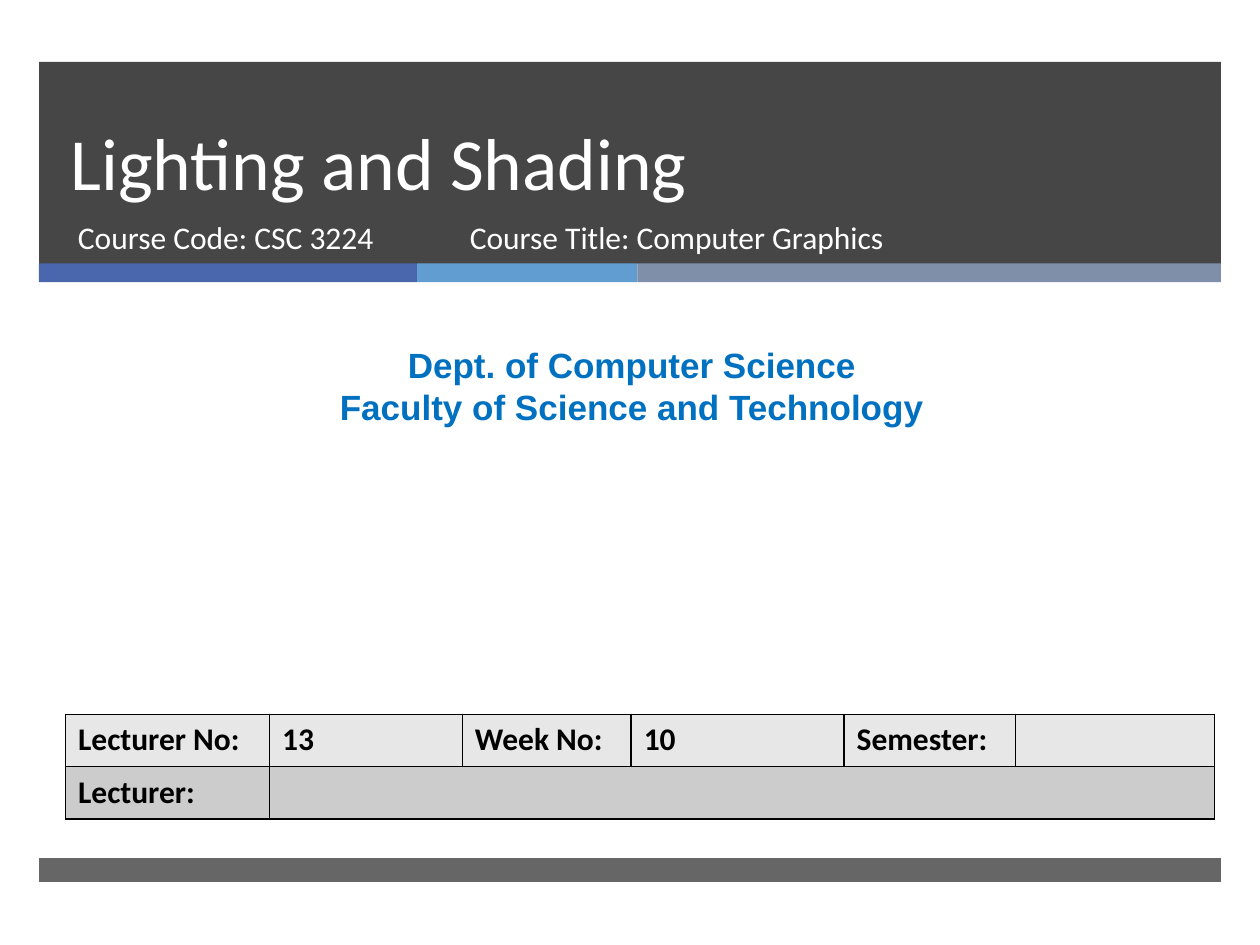
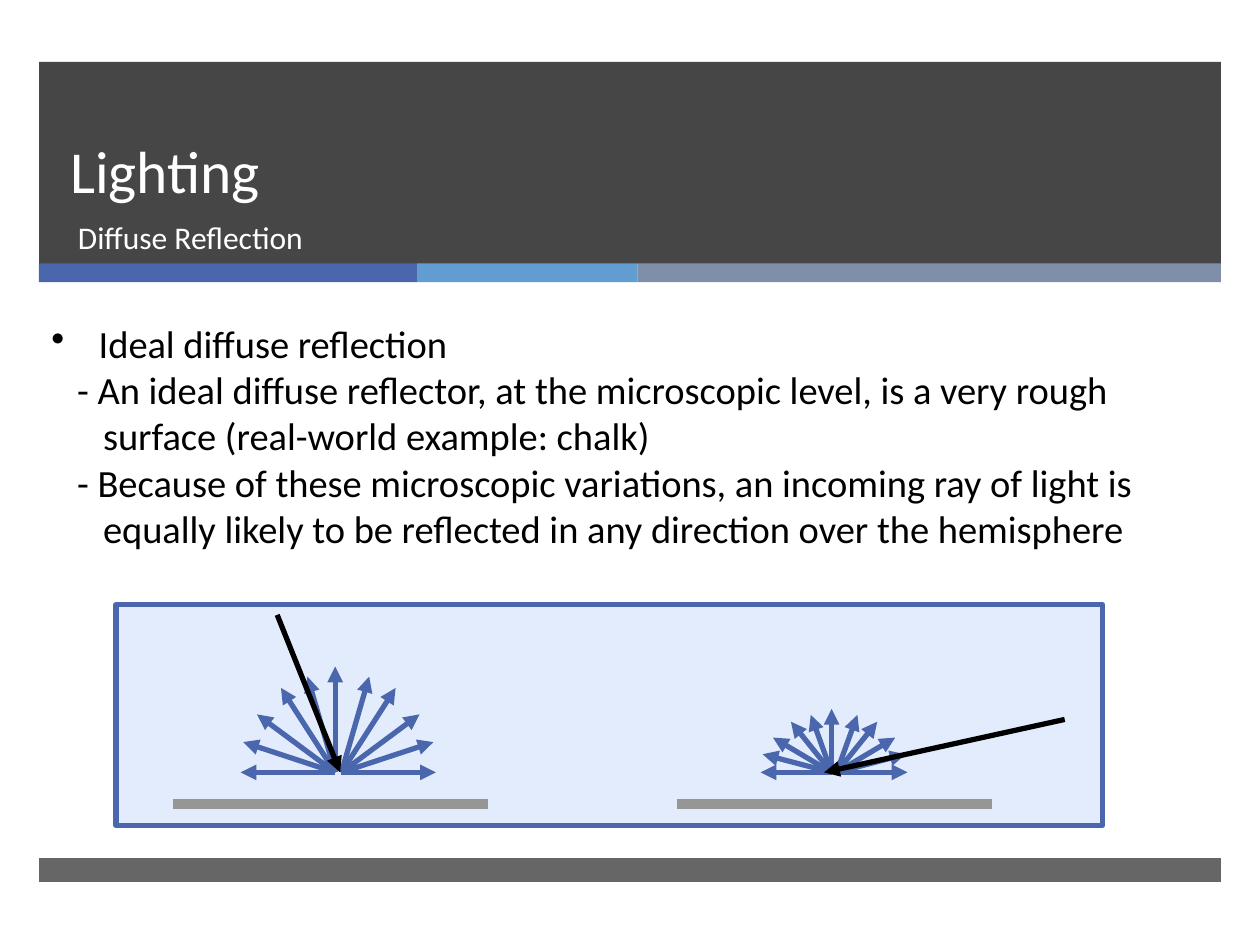
from itertools import accumulate

from pptx import Presentation
from pptx.dml.color import RGBColor
from pptx.enum.shapes import MSO_CONNECTOR as Connector, MSO_SHAPE as Shape
from pptx.enum.text import MSO_ANCHOR as Anchor, PP_ALIGN as Align
from pptx.oxml.ns import qn
from pptx.util import Inches, Pt
from lxml.etree import SubElement

COLORS = {
    "dark": "262626", "blue": "4A66AC", "sky": "629DD1", "slate": "7F8FA9",
    "pale": "ACCBF9", "link": "0070C0", "surface": "969696",
    "row_light": "E7E7E7", "row_dark": "CCCCCC", "white": "FFFFFF", "black": "000000",
}
COLUMNS, ROWS = 100, 75  # grid over a 10 by 7.5 inch slide


class Deck:
    """Holds the style, the presentation and the current slide."""

    def __init__(self):
        self.presentation = Presentation()
        self.presentation.slide_width = Inches(10)
        self.presentation.slide_height = Inches(7.5)
        self.column = self.presentation.slide_width // COLUMNS
        self.row = self.presentation.slide_height // ROWS
        self.slide = None

    def place(self, left, top, width, height):
        return (round(left * self.column), round(top * self.row),
                round(width * self.column), round(height * self.row))

    def color(self, name):
        return RGBColor.from_string(COLORS[name])

    def box(self, at, fill, opacity=100, line=None):
        shape = self.slide.shapes.add_shape(Shape.RECTANGLE, *self.place(*at))
        shape.shadow.inherit = False
        shape.fill.solid()
        shape.fill.fore_color.rgb = self.color(fill)
        if opacity < 100:
            solid = shape.fill._xPr.find(qn("a:solidFill"))
            SubElement(solid[0], qn("a:alpha"), val=str(opacity * 1000))
        if line:
            shape.line.color.rgb = self.color(line)
            shape.line.width = Pt(3)
        else:
            shape.line.fill.background()

    def style(self, paragraph, size, color, bold=False, font="Calibri"):
        paragraph.font.name = font
        paragraph.font.size = Pt(size)
        paragraph.font.bold = bold
        paragraph.font.color.rgb = self.color(color)

    def text(self, at, lines, size, color="white", align=Align.LEFT, anchor=Anchor.TOP,
             spacing=None, **font):
        frame = self.slide.shapes.add_textbox(*self.place(*at)).text_frame
        frame.word_wrap = True
        frame.vertical_anchor = anchor
        frame.text = "\n".join(lines)
        for paragraph in frame.paragraphs:
            paragraph.alignment = align
            if spacing:
                paragraph.line_spacing = Pt(spacing)
            self.style(paragraph, size, color, **font)
        return frame.paragraphs

    def indent(self, paragraph, margin, hanging, bullet=None):
        properties = paragraph._p.get_or_add_pPr()
        properties.set("marL", str(round(margin * self.column)))
        properties.set("indent", str(round(-hanging * self.column)))
        if bullet:
            mark = SubElement(properties, qn("a:buChar"), char=bullet)
            properties.insert(0, mark)

    def line(self, start, end, color, width=3, arrow=False):
        points = [*self.place(*start, 0, 0)[:2], *self.place(*end, 0, 0)[:2]]
        connector = self.slide.shapes.add_connector(Connector.STRAIGHT, *points)
        connector.line.color.rgb = self.color(color)
        connector.line.width = Pt(width)
        if arrow:
            SubElement(connector.line._get_or_add_ln(), qn("a:tailEnd"), type="triangle")
        SubElement(connector._element.spPr, qn("a:effectLst"))

    def table(self, at, widths, rows, fills):
        frame = self.slide.shapes.add_table(len(rows), len(widths), *self.place(*at))
        table = frame.table
        for column, width in zip(table.columns, widths):
            column.width = round(width * self.column)
        for cells, values, fill in zip(table.rows, rows, fills):
            for cell, value in zip(cells.cells, values):
                cell.text = value
                self.style(cell.text_frame.paragraphs[0], 18, "black", bold=True)
                self.border(cell)
                cell.fill.solid()
                cell.fill.fore_color.rgb = self.color(fill)
        return table

    def border(self, cell):
        properties = cell._tc.get_or_add_tcPr()
        for side in ("lnL", "lnR", "lnT", "lnB"):
            edge = SubElement(properties, qn(f"a:{side}"), w=str(Pt(1)))
            solid = SubElement(edge, qn("a:solidFill"))
            SubElement(solid, qn("a:srgbClr"), val=COLORS["black"])

    def new_slide(self, title, title_size, subtitle):
        """Start a slide with the header, the colour strip and the footer band."""
        self.slide = self.presentation.slides.add_slide(self.presentation.slide_layouts[6])
        left, widths = 3.1, (30, 17.5, 46.3)
        self.box((left, 4.9, sum(widths), 16.05), "dark", 85)
        starts = accumulate(widths, initial=left)
        for start, width, fill in zip(starts, widths, ("blue", "sky", "slate")):
            self.box((start, 20.9, width, 1.5), fill)
        self.box((left, 68.1, sum(widths), 1.9), "dark", 70)
        self.text((4.6, 4.9, 85.4, 11.9), [title], title_size,
                  anchor=Anchor.BOTTOM, spacing=46)
        self.subtitle(5.2, subtitle)

    def subtitle(self, left, words):
        self.text((left, 16.8, 45.5, 5.3), [words], 18)

    def diffuse_fan(self, x, y, scale_x=1, scale_y=1, gap=0.5):
        """Draw rays over a hemisphere, mirrored about the point of incidence."""
        quarter = [(7.5, 0), (7.3, 2.4), (6.2, 4.6), (4.3, 6.7), (2.2, 7.6), (0, 8.4)]
        for side, origin in ((-1, x), (1, x + gap)):
            for across, up in quarter:
                if side < 0 or across:  # the upright ray is drawn once
                    end = (origin + side * across * scale_x, y - up * scale_y)
                    self.line((origin, y), end, "blue", arrow=True)


def cover_slide(deck):
    deck.new_slide("Lighting and Shading", 42, "Course Code: CSC 3224")
    deck.subtitle(36.3, "Course Title: Computer Graphics")
    deck.text((0.8, 26.8, 98.7, 7.7),
              ["Dept. of Computer Science", "Faculty of Science and Technology"],
              20, "link", Align.CENTER, bold=True, font="Arial")
    # Lecture details
    table = deck.table(
        (5.2, 56.7, 91.2, 8.3), (16.2, 15.3, 13.4, 16.9, 13.6, 15.8),
        [["Lecturer No:", "13", "Week No:", "10", "Semester:", ""],
         ["Lecturer:", "", "", "", "", ""]],
        ("row_light", "row_dark"))
    table.cell(1, 1).merge(table.cell(1, 5))


def diffuse_slide(deck):
    deck.new_slide("Lighting", 34, "Diffuse Reflection")
    heading, *details = deck.text((3.1, 24.9, 91.3, 22.9), [
        "Ideal diffuse reflection",
        "- An ideal diffuse reflector, at the microscopic level, is a very rough "
        "surface (real-world example: chalk)",
        "- Because of these microscopic variations, an incoming ray of light is "
        "equally likely to be reflected in any direction over the hemisphere",
    ], 22, "black")
    deck.indent(heading, 3.75, 3.75, "•")
    for detail in details:
        deck.indent(detail, 4.1, 2.05)

    # Diagram: steep and shallow incoming light on a rough surface
    deck.box((9.2, 48, 78.3, 17.5), "pale", 35, "blue")
    for surface_left in (13.7, 53.7):
        deck.line((surface_left, 63.8), (surface_left + 25, 63.8), "surface", 6)
    deck.diffuse_fan(26.6, 61.3)
    deck.diffuse_fan(66, 61.3, 0.75, 0.6, gap=0.4)
    for source, target in (((22, 48.8), (27, 61.3)), ((84.5, 57.1), (65.4, 61.3))):
        deck.line(source, target, "black", arrow=True)


def main():
    deck = Deck()
    cover_slide(deck)
    diffuse_slide(deck)
    deck.presentation.save("out.pptx")


if __name__ == "__main__":
    main()
